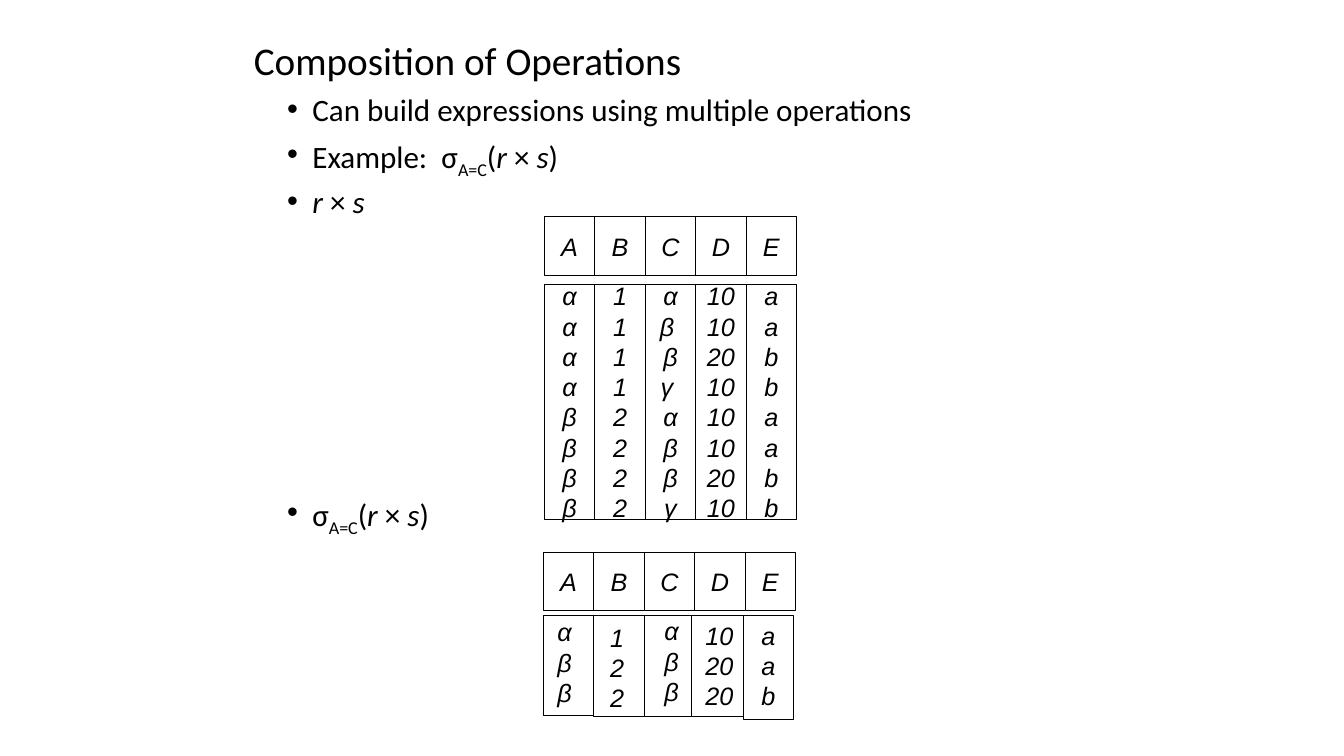
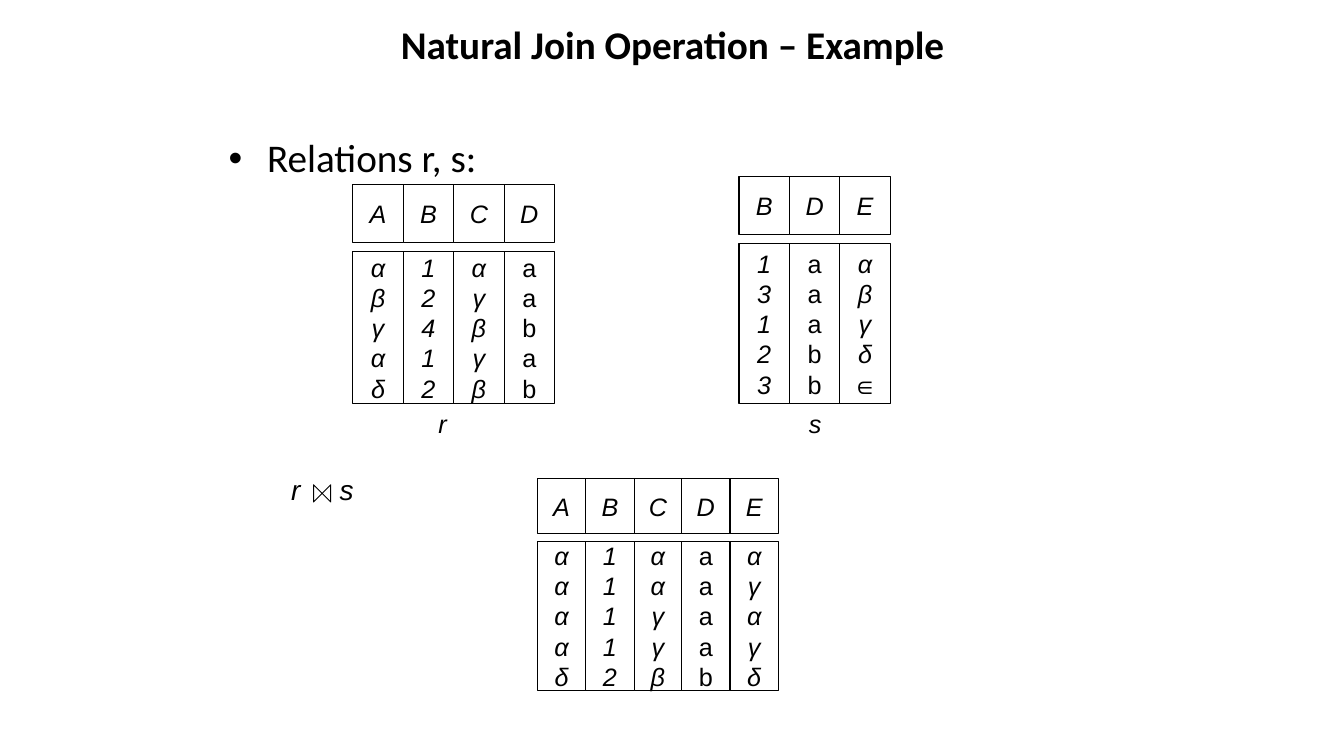
from dataclasses import dataclass
from typing import NamedTuple

from lxml.etree import SubElement
from pptx import Presentation
from pptx.dml.color import RGBColor
from pptx.enum.shapes import MSO_SHAPE
from pptx.enum.text import MSO_ANCHOR, PP_ALIGN
from pptx.oxml.ns import qn
from pptx.util import Pt

PX = 9144


class Box(NamedTuple):
    left: int
    top: int
    width: int
    height: int

    def emu(self):
        return [length * PX for length in self]


@dataclass(frozen=True)
class Theme:
    ink: RGBColor = RGBColor(0, 0, 0)
    paper: RGBColor = RGBColor(255, 255, 255)
    text_font: str = "Calibri"
    cell_font: str = "Arial"
    title_size: float = 28
    bullet_size: float = 22.2
    join_size: float = 20
    cell_size: float = 18
    cell_leading: float = 21.6
    line_width: float = 0.75


THEME = Theme()

ROMAN, ITALIC, SUBSCRIPT = "roman", "italic", "subscript"
PRODUCT = [("r ", ITALIC), ("×", ROMAN), (" s", ITALIC)]
CONDITION = [("A=C", SUBSCRIPT), ("(", ROMAN), *PRODUCT, (")", ROMAN)]


def style_span(span, font, size, bold=False, italic=False):
    span.font.name = font
    span.font.size = Pt(size)
    span.font.bold = bold
    span.font.italic = italic
    span.font.color.rgb = THEME.ink


def add_text_box(page, box, anchor=MSO_ANCHOR.TOP):
    frame = page.shapes.add_textbox(*box.emu()).text_frame
    frame.word_wrap = True
    frame.vertical_anchor = anchor
    return frame


def add_title(page, box, text, spacing, align=PP_ALIGN.LEFT, bold=False):
    frame = add_text_box(page, box, MSO_ANCHOR.MIDDLE)
    frame.text = text
    para = frame.paragraphs[0]
    para.alignment = align
    para.line_spacing = spacing
    style_span(para.runs[0], THEME.text_font, THEME.title_size, bold)


def set_bullet(para, indent):
    properties = para._p.get_or_add_pPr()
    properties.set("marL", str(indent * PX))
    properties.set("indent", str(-indent * PX))
    SubElement(properties, qn("a:buFont")).set("typeface", THEME.cell_font)
    SubElement(properties, qn("a:buChar")).set("char", "•")


def add_bullets(page, box, items, size, indent, spacing):
    frame = add_text_box(page, box)
    for index, (space_before, pieces) in enumerate(items):
        para = frame.add_paragraph() if index else frame.paragraphs[0]
        para.line_spacing = spacing
        para.space_before = Pt(space_before)
        set_bullet(para, indent)
        for text, style in pieces:
            span = para.add_run()
            span.text = text
            style_span(span, THEME.text_font, size, italic=style == ITALIC)
            if style == SUBSCRIPT:
                span._r.get_or_add_rPr().set("baseline", "-25000")


def write_cell(frame, lines, italic=True):
    frame.text = "\n".join(lines)
    frame.word_wrap = False
    for para in frame.paragraphs:
        para.alignment = PP_ALIGN.CENTER
        para.line_spacing = Pt(THEME.cell_leading)
        for span in para.runs:
            style_span(span, THEME.cell_font, THEME.cell_size, italic=italic)


def add_outline(page, box, kind=MSO_SHAPE.RECTANGLE):
    shape = page.shapes.add_shape(kind, *box.emu())
    shape.shadow.inherit = False
    shape.fill.solid()
    shape.fill.fore_color.rgb = THEME.paper
    shape.line.color.rgb = THEME.ink
    shape.line.width = Pt(THEME.line_width)
    return shape


def add_row(page, box, columns, upright=()):
    edges = [box.left + round(box.width * index / len(columns))
             for index in range(len(columns) + 1)]
    for index, lines in enumerate(columns):
        cell = Box(edges[index], box.top, edges[index + 1] - edges[index], box.height)
        frame = add_outline(page, cell).text_frame
        frame.vertical_anchor = MSO_ANCHOR.MIDDLE
        write_cell(frame, lines, index not in upright)


def add_relation(page, box, heading_height, gap, names, columns, upright=""):
    add_row(page, box._replace(height=heading_height), names)
    body_offset = heading_height + gap
    body = box._replace(top=box.top + body_offset, height=box.height - body_offset)
    add_row(page, body, [column.split("|") for column in columns],
            [names.index(name) for name in upright])


def add_selection(page, box):
    add_row(page, box._replace(height=58), "ABCDE")
    body_top = box.top + 63
    cells = [(0, 53, 99), (50, 50, 100), (100, 47, 100), (147, 53, 100), (198, 50, 103)]
    for offset, width, height in cells:
        add_outline(page, Box(box.left + offset, body_top, width, height))
    entries = [
        (3, -4, 36, "αββ"),
        (56, 1, 34, "122"),
        (109, -5, 36, "αββ"),
        (146, -1, 57, ["10", "20", "20"]),
        (206, -1, 34, "aab"),
    ]
    for offset, shift, width, lines in entries:
        entry = Box(box.left + offset, body_top + shift, width, 100)
        write_cell(add_text_box(page, entry), lines)


def add_relation_name(page, box, name):
    write_cell(add_text_box(page, box, MSO_ANCHOR.MIDDLE), [name])


def add_join_label(page, box):
    frame = add_text_box(page, box)
    frame.text = "r\ts"
    para = frame.paragraphs[0]
    stops = SubElement(para._p.get_or_add_pPr(), qn("a:tabLst"))
    stop = SubElement(stops, qn("a:tab"))
    stop.set("pos", str(48 * PX))
    stop.set("algn", "l")
    for span in para.runs:
        style_span(span, THEME.cell_font, THEME.join_size, italic=True)
    bowtie = Box(box.left + 32, box.top + 17, 17, 17)
    add_outline(page, bowtie, MSO_SHAPE.FLOWCHART_COLLATE).rotation = 90


def build_composition(page):
    add_title(page, Box(242, 0, 850, 125), "Composition of Operations", 0.9)
    items = [
        (10, [("Can build expressions using multiple operations", ROMAN)]),
        (10, [("Example:  σ", ROMAN), *CONDITION]),
        (10, PRODUCT),
        (200, [("σ", ROMAN), *CONDITION]),
    ]
    add_bullets(page, Box(275, 92, 850, 450), items, THEME.bullet_size, 25, 0.8)
    add_relation(page, Box(540, 215, 250, 300), 58, 9, "ABCDE", [
        "α|α|α|α|β|β|β|β",
        "1|1|1|1|2|2|2|2",
        "α|β |β|γ |α|β|β|γ",
        "10|10|20|10|10|10|20|10",
        "a|a|b|b|a|a|b|b",
    ])
    add_selection(page, Box(539, 548, 250, 166))


def build_natural_join(page):
    add_title(page, Box(242, 17, 850, 53), "Natural Join Operation – Example", 1.0,
              PP_ALIGN.CENTER, True)
    add_bullets(page, Box(217, 133, 769, 45), [(0, [("Relations r, s:", ROMAN)])],
                THEME.title_size, 38, 0.9)
    add_relation(page, Box(350, 183, 200, 217), 58, 9, "ABCD",
                 ["α|β|γ|α|δ", "1|2|4|1|2", "α|γ|β|γ|β", "a|a|b|a|b"], "D")
    add_relation(page, Box(733, 175, 150, 225), 58, 9, "BDE",
                 ["1|3|1|2|3", "a|a|a|b|b", "α|β|γ|δ|∈"], "D")
    add_relation(page, Box(533, 475, 239, 210), 54, 8, "ABCDE",
                 ["α|α|α|α|δ", "1|1|1|1|2", "α|α|γ|γ|β", "a|a|a|a|b", "α|γ|α|γ|δ"], "D")
    add_relation_name(page, Box(425, 400, 28, 40), "r")
    add_relation_name(page, Box(792, 400, 33, 40), "s")
    add_join_label(page, Box(279, 464, 769, 45))


def main():
    deck = Presentation()
    deck.slide_width, deck.slide_height = 1333 * PX, 750 * PX
    for build in (build_composition, build_natural_join):
        build(deck.slides.add_slide(deck.slide_layouts[6]))
    deck.save("out.pptx")


if __name__ == "__main__":
    main()
